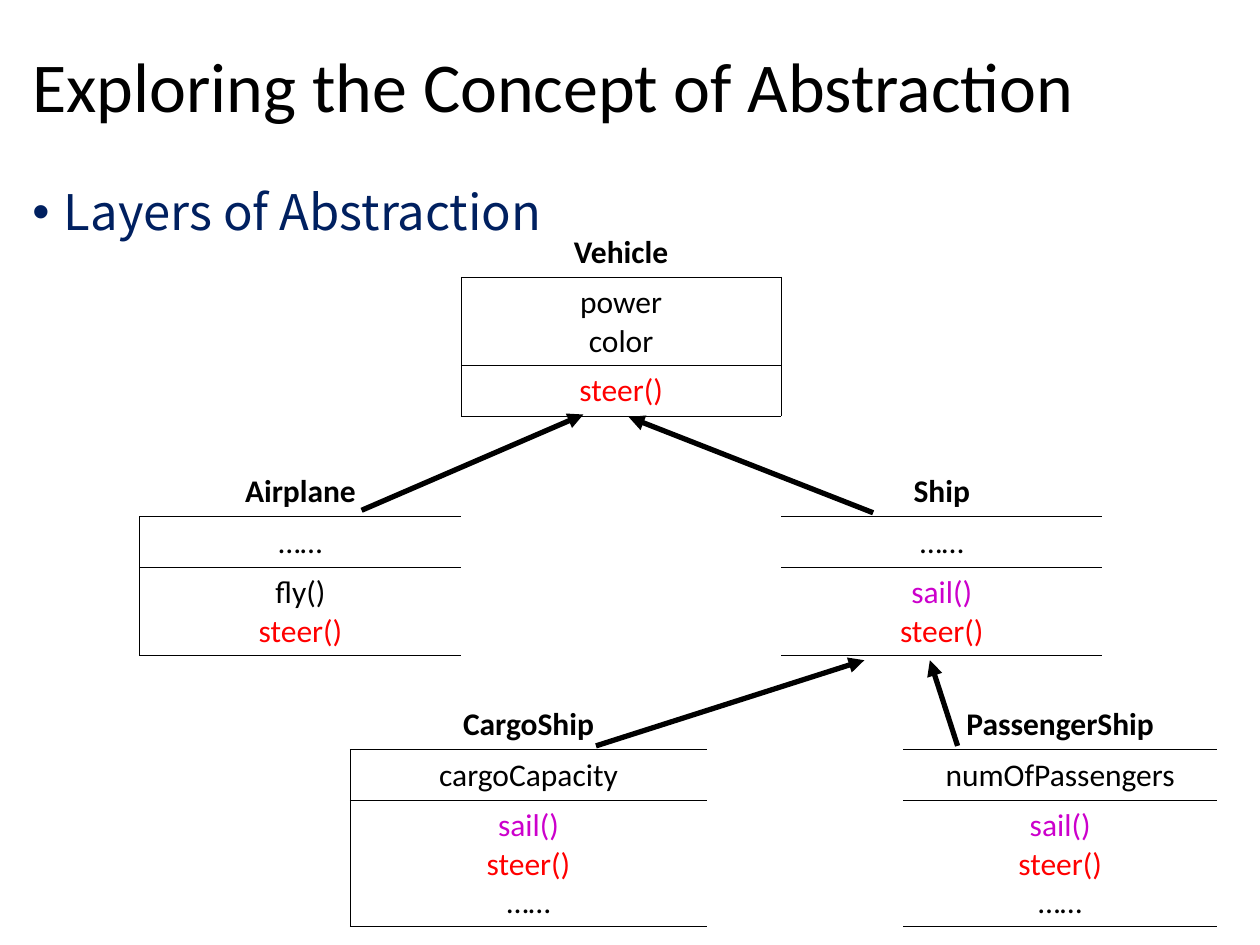
from pptx import Presentation
from pptx.dml.color import RGBColor
from pptx.enum.shapes import MSO_CONNECTOR
from pptx.enum.text import MSO_ANCHOR, PP_ALIGN
from pptx.oxml.ns import qn
from pptx.util import Inches, Pt
from lxml.etree import SubElement

COLORS = {"black": "000000", "navy": "002060", "red": "FF0000", "purple": "CC00CC"}
TINTS = {"steer()": "red", "sail()": "purple"}
FORMATS = {
    "title": {"size": Pt(40), "name": "Calibri"},
    "point": {"size": Pt(28), "name": "Noto Sans CJK SC"},
    "class": {"size": Pt(18), "name": "Calibri", "bold": True},
    "member": {"size": Pt(18), "name": "Calibri", "bold": False},
}
NO_STYLE = "{2D5ABB26-0587-4C30-8999-92F81FD0307C}"
DOTS = "……"


def style(font, kind, color):
    for key, value in FORMATS[kind].items():
        setattr(font, key, value)
    font.color.rgb = RGBColor.from_string(COLORS[color])


def add_bullet(para, color):
    props = para._p.get_or_add_pPr()
    props.set("marL", str(Inches(0.25)))
    props.set("indent", str(Inches(-0.25)))
    tint = SubElement(props, qn("a:buClr"))
    SubElement(tint, qn("a:srgbClr"), val=COLORS[color])
    SubElement(props, qn("a:buFont"), typeface="Arial")
    SubElement(props, qn("a:buChar"), char="•")


def add_text(slide, text, box, kind, color, anchor, bullet=False):
    frame = slide.shapes.add_textbox(*map(Inches, box)).text_frame
    frame.word_wrap = True
    frame.vertical_anchor = anchor
    para = frame.paragraphs[0]
    para.line_spacing = 0.9
    if bullet:
        add_bullet(para, color)
    run = para.add_run()
    run.text = text
    style(run.font, kind, color)


def add_grid(slide, left, top, cols, rows):
    """Add a plain table without style, fill or borders."""
    size = map(Inches, (left, top, sum(cols), sum(rows)))
    table = slide.shapes.add_table(len(rows), len(cols), *size).table
    table.first_row = table.horz_banding = False
    table._tbl.tblPr.find(qn("a:tableStyleId")).text = NO_STYLE
    for col, width in zip(table.columns, cols):
        col.width = Inches(width)
    for row, height in zip(table.rows, rows):
        row.height = Inches(height)
    return table


def draw_edges(cell, sides):
    props = cell._tc.get_or_add_tcPr()
    for side in "LRTB":
        if side in sides:
            line = SubElement(props, qn("a:ln" + side), w=str(Pt(0.45)))
            fill = SubElement(line, qn("a:solidFill"))
            SubElement(fill, qn("a:srgbClr"), val=COLORS["black"])


def fill_cell(table, row, col, span, lines, kind, sides):
    """Write lines into a cell that spans columns and draw its edges."""
    last = col + span - 1
    cell = table.cell(row, col)
    if span > 1:
        cell.merge(table.cell(row, last))
    for num in range(col, last + 1):
        hidden = ("L" if num > col else "") + ("R" if num < last else "")
        draw_edges(table.cell(row, num), set(sides) - set(hidden))
    frame = cell.text_frame
    for num, text in enumerate(lines):
        para = frame.add_paragraph() if num else frame.paragraphs[0]
        para.alignment = PP_ALIGN.CENTER
        run = para.add_run()
        run.text = text
        style(run.font, kind, TINTS.get(text, "black"))


def add_class(table, row, col, span, name, fields, calls, sides):
    """Stack a class name, its fields and its methods in three rows."""
    fill_cell(table, row, col, span, [name], "class", "B")
    fill_cell(table, row + 1, col, span, fields, "member", sides)
    fill_cell(table, row + 2, col, span, calls, "member", sides)


def clear_fill(table):
    for cell in table.iter_cells():
        cell.fill.background()


def add_arrow(slide, start, end):
    ends = map(Inches, start + end)
    link = slide.shapes.add_connector(MSO_CONNECTOR.STRAIGHT, *ends)
    link.line.width = Pt(3)
    link.line.color.rgb = RGBColor.from_string(COLORS["black"])
    SubElement(link.line._get_or_add_ln(), qn("a:tailEnd"), type="triangle")
    SubElement(link._element.spPr, qn("a:effectLst"))


def main():
    deck = Presentation()
    deck.slide_width, deck.slide_height = Inches(10), Inches(7.5)
    slide = deck.slides.add_slide(deck.slide_layouts[6])
    add_text(slide, "Exploring the Concept of Abstraction",
             (0.16, 0.11, 9.74, 1.2), "title", "black", MSO_ANCHOR.MIDDLE)
    add_text(slide, "Layers of Abstraction",
             (0.16, 1.44, 9.74, 5.91), "point", "navy", MSO_ANCHOR.TOP, True)

    side = [0.85] * 3
    upper = add_grid(slide, 1.11, 1.8, side + [2.54] + side,
                     [0.4, 0.7, 0.4, 0.4, 0.4, 0.4, 0.7])
    add_class(upper, 0, 3, 1, "Vehicle", ["power", "color"], ["steer()"], "LRTB")
    add_class(upper, 4, 0, 3, "Airplane", [DOTS], ["fly()", "steer()"], "LTB")
    add_class(upper, 4, 4, 3, "Ship", [DOTS], ["sail()", "steer()"], "RTB")
    upper.cell(3, 3).merge(upper.cell(6, 3))

    lower = add_grid(slide, 2.78, 5.15, [0.24, 0.83, 1.76, 1.56] + [0.83] * 3,
                     [0.4, 0.4, 0.4, 1])
    calls = ["sail()", "steer()", DOTS]
    add_class(lower, 1, 0, 3, "CargoShip", ["cargoCapacity"], calls, "LTB")
    add_class(lower, 1, 4, 3, "PassengerShip", ["numOfPassengers"], calls, "RTB")
    lower.cell(0, 3).merge(lower.cell(3, 3))

    for table in (upper, lower):
        clear_fill(table)
    for start, end in (((2.87, 4.05), (4.63, 3.29)), ((6.93, 4.07), (4.99, 3.31)),
                       ((4.73, 5.92), (6.86, 5.24)), ((7.6, 5.92), (7.38, 5.24))):
        add_arrow(slide, start, end)
    deck.save("out.pptx")


if __name__ == "__main__":
    main()
